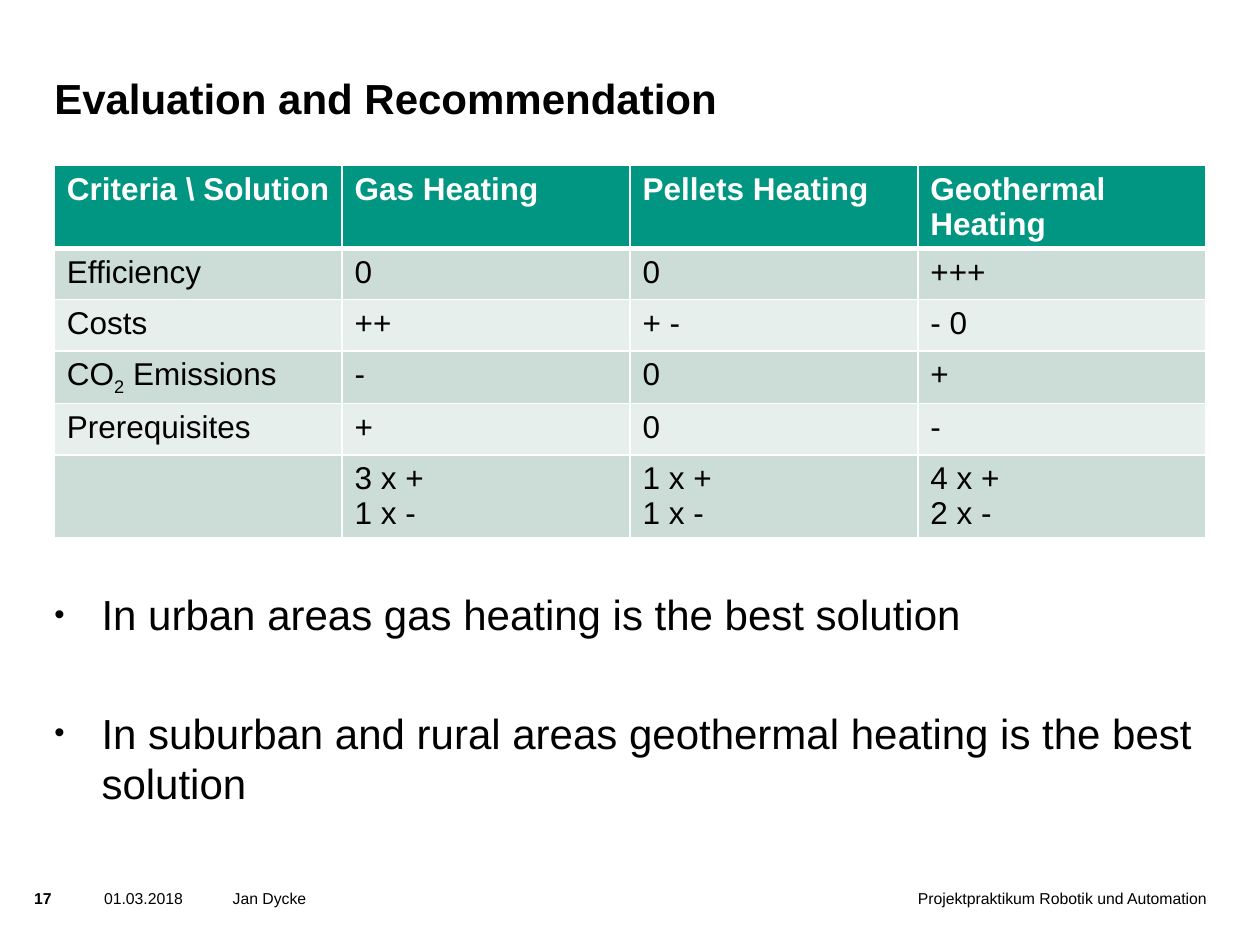
from lxml.etree import SubElement
from pptx import Presentation
from pptx.dml.color import RGBColor
from pptx.enum.text import MSO_ANCHOR, MSO_AUTO_SIZE, PP_ALIGN
from pptx.oxml import parse_xml
from pptx.oxml.ns import nsdecls, qn
from pptx.util import Pt

# Content
COLORS = {"text": "000000", "white": "FFFFFF", "header": "009682",
          "band_dark": "CCDDD8", "band_light": "E7EFED"}
TITLE = "Evaluation and Recommendation"
ROWS = [
    ("Criteria \\ Solution", "Gas Heating", "Pellets Heating", "Geothermal Heating"),
    ("Efficiency", "0", "0", "+++"),
    ("Costs", "++", "+ -", "- 0"),
    (("CO", "2", " Emissions"), "-", "0", "+"),
    ("Prerequisites", "+", "0", "-"),
    ("", "3 x +\n1 x -", "1 x +\n1 x -", "4 x +\n2 x -"),
]
BULLETS = [  # text, space before
    ("In urban areas gas heating is the best solution", 5),
    ("In suburban and rural areas geothermal heating is the best solution", 39),
]
FOOTERS = [  # text, left, width, bold
    ("17", 19.5, 26, True),
    ("01.03.2018", 59.5, 64, False),
    ("Jan Dycke", 133, 272, False),
    ("Projektpraktikum Robotik und Automation", 524.5, 172, False),
]
LEFT, WIDTH = 31, 658
ROW_HEIGHT = 29.2
FOOTER_TOP, FOOTER_HEIGHT = 508, 17


def style(paragraph, size, bold=False, color="text"):
    font = paragraph.font
    font.name, font.size, font.bold = "Arial", Pt(size), bold
    font.color.rgb = RGBColor.from_string(COLORS[color])


def place(shape, left, top, width, height, anchor=MSO_ANCHOR.TOP):
    shape.left, shape.top = Pt(left), Pt(top)
    shape.width, shape.height = Pt(width), Pt(height)
    frame = shape.text_frame
    frame.margin_left = frame.margin_top = frame.margin_right = frame.margin_bottom = 0
    frame.word_wrap, frame.auto_size = True, MSO_AUTO_SIZE.NONE
    frame.vertical_anchor = anchor
    return frame


def add_borders(cell, widths):
    properties = cell._tc.get_or_add_tcPr()
    for index, (side, width) in enumerate(widths.items()):
        properties.insert(index, parse_xml(
            f'<a:ln{side} {nsdecls("a")} w="{Pt(width)}"><a:solidFill>'
            f'<a:srgbClr val="{COLORS["white"]}"/></a:solidFill></a:ln{side}>'))


deck = Presentation()
deck.slide_width, deck.slide_height = Pt(720), Pt(540)
page = deck.slides.add_slide(deck.slide_layouts[1])

# Title
title = place(page.shapes.title, LEFT, 26, 556.5, 44, MSO_ANCHOR.BOTTOM)
title.text = TITLE
title.paragraphs[0].alignment = PP_ALIGN.LEFT
style(title.paragraphs[0], 24, bold=True)

# Table
table = page.shapes.add_table(len(ROWS), len(ROWS[0]), Pt(LEFT), Pt(94.5),
                              Pt(WIDTH), Pt(ROW_HEIGHT * len(ROWS))).table
for row_index, row in enumerate(ROWS):
    table.rows[row_index].height = Pt(ROW_HEIGHT)
    is_header = row_index == 0
    fill = "header" if is_header else "band_dark" if row_index % 2 else "band_light"
    for column_index, content in enumerate(row):
        cell = table.cell(row_index, column_index)
        cell.fill.solid()
        cell.fill.fore_color.rgb = RGBColor.from_string(COLORS[fill])
        add_borders(cell, {"L": 1, "R": 1, "T": 3 if row_index == 1 else 1,
                           "B": 3 if is_header else 1})
        if isinstance(content, tuple):
            para = cell.text_frame.paragraphs[0]
            spans = [para.add_run() for _ in content]
            for span, text in zip(spans, content):
                span.text = text
            spans[1].font._element.set("baseline", "-25000")
        else:
            cell.text = content
        for para in cell.text_frame.paragraphs:
            style(para, 18, is_header, "white" if is_header else "text")

# Recommendations
body = place(page.placeholders[1], LEFT, 336.5, WIDTH, 144)
body.text = "\n".join(text for text, _ in BULLETS)
for para, (_, space) in zip(body.paragraphs, BULLETS):
    style(para, 24)
    para.space_before = Pt(space)
    properties = para._p.get_or_add_pPr()
    properties.set("marL", str(Pt(27)))
    properties.set("indent", str(Pt(-27)))
    bullet_size = SubElement(properties, qn("a:buSzPct"), val="70000")
    bullet = SubElement(properties, qn("a:buChar"), char="•")
    default_run = properties.find(qn("a:defRPr"))
    if default_run is not None:
        default_run.addprevious(bullet_size)
        default_run.addprevious(bullet)

# Footer
for text, left, width, bold in FOOTERS:
    box = page.shapes.add_textbox(0, 0, 0, 0)
    frame = place(box, left, FOOTER_TOP, width, FOOTER_HEIGHT)
    frame.text = text
    style(frame.paragraphs[0], 9, bold)

deck.save("out.pptx")
